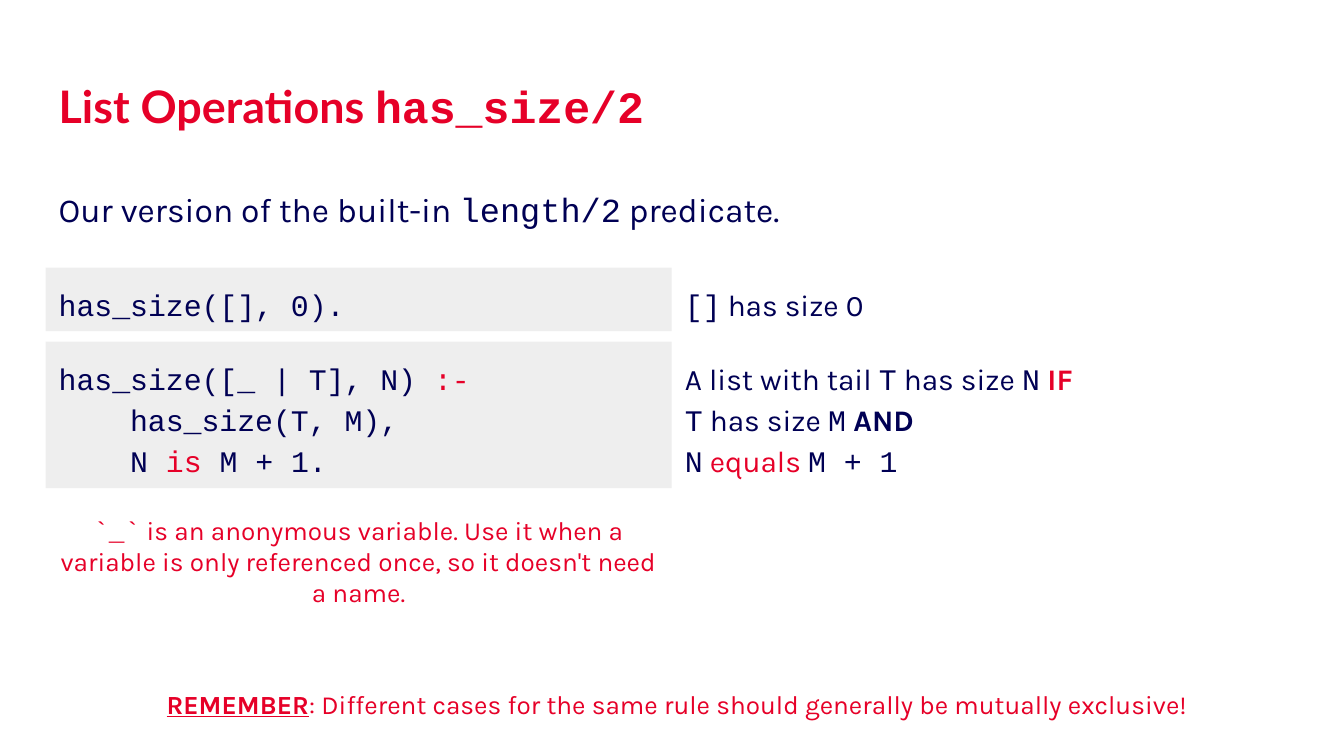
from collections import namedtuple

from pptx import Presentation
from pptx.dml.color import RGBColor
from pptx.enum.shapes import MSO_SHAPE
from pptx.enum.text import MSO_ANCHOR, MSO_AUTO_SIZE, PP_ALIGN
from pptx.util import Cm, Pt
from lxml.etree import SubElement
from pptx.oxml.ns import qn

RED = RGBColor(0xE6, 0x00, 0x28)
NAVY = RGBColor(0x00, 0x00, 0x54)
GREY = RGBColor(0xEE, 0xEE, 0xEE)
CODE, PROSE, HEADING = "Courier New", "Karla", "Lato"
CODE_INDENT = Cm(1.35)  # four characters of 16 pt code

Box = namedtuple("Box", "left top width height")
Span = namedtuple("Span", "text font color bold underline",
                  defaults=(NAVY, False, False))

LEFT, WIDTH = 0.86, 23.67
HALF = WIDTH / 2


def place(shape, box):
    shape.left, shape.top, shape.width, shape.height = map(Cm, box)


def write(shape, lines, size, align=PP_ALIGN.LEFT, anchor=MSO_ANCHOR.TOP,
          spacing=1.0):
    """Fill the shape with one paragraph for each list of spans."""
    frame = shape.text_frame
    frame.word_wrap = True
    frame.auto_size = MSO_AUTO_SIZE.NONE
    frame.vertical_anchor = anchor
    frame.margin_left = frame.margin_right = Cm(0.25)
    frame.margin_top = frame.margin_bottom = Cm(0.25)
    for index, spans in enumerate(lines):
        para = frame.paragraphs[0] if index == 0 else frame.add_paragraph()
        para.alignment = align
        para.line_spacing = spacing
        para.space_before = Pt(0)
        for part in spans:
            span = para.add_run()
            span.text = part.text
            span.font.name = part.font
            span.font.size = Pt(size)
            span.font.color.rgb = part.color
            span.font.bold = part.bold
            span.font.underline = part.underline


def add_title(slide, box, spans):
    place(slide.shapes.title, box)
    write(slide.shapes.title, [spans], 24)


def add_intro(slide, box, spans):
    body = slide.placeholders[1]
    place(body, box)
    write(body, [spans], 18, spacing=1.15)
    para = body.text_frame.paragraphs[0]
    para.space_after = Pt(12)
    properties = para._p.get_or_add_pPr()
    properties.set("marL", "0")
    properties.set("indent", "0")
    SubElement(properties, qn("a:buNone"))


def add_clause(slide, box, code, meaning):
    """Code on grey in the left half, its reading in the right half."""
    half = box.width / 2
    panel = slide.shapes.add_shape(MSO_SHAPE.RECTANGLE, 0, 0, 0, 0)
    place(panel, box._replace(width=half))
    panel.shadow.inherit = False
    panel.fill.solid()
    panel.fill.fore_color.rgb = GREY
    panel.line.fill.background()
    write(panel, code, 16, spacing=1.15)
    for para in panel.text_frame.paragraphs[1:]:
        para._p.get_or_add_pPr().set("marL", str(CODE_INDENT))

    reading = slide.shapes.add_textbox(0, 0, 0, 0)
    place(reading, box._replace(left=box.left + half, width=half))
    write(reading, meaning, 16, spacing=1.15)


def add_note(slide, box, spans):
    note = slide.shapes.add_textbox(0, 0, 0, 0)
    place(note, box)
    write(note, [spans], 14, PP_ALIGN.CENTER, MSO_ANCHOR.MIDDLE)


def main():
    deck = Presentation()
    deck.slide_width, deck.slide_height = Cm(25.4), Cm(14.29)
    slide = deck.slides.add_slide(deck.slide_layouts[1])

    add_title(slide, Box(LEFT, 1.24, WIDTH, 1.6), [
        Span("List Operations ", HEADING, RED, True),
        Span("has_size/2", CODE, RED, True)])
    add_intro(slide, Box(LEFT, 3.2, WIDTH, 1.27), [
        Span("Our version of the built-in ", PROSE),
        Span("length/2", CODE),
        Span(" predicate.", PROSE)])

    add_clause(
        slide, Box(LEFT, 5.06, WIDTH, 1.2),
        code=[[Span("has_size([], 0).", CODE)]],
        meaning=[[Span("[]", CODE), Span(" has size 0", PROSE)]])
    add_clause(
        slide, Box(LEFT, 6.46, WIDTH, 2.77),
        code=[
            [Span("has_size([_ | T], N) ", CODE), Span(":-", CODE, RED)],
            [Span("has_size(T, M),", CODE)],
            [Span("N ", CODE), Span("is", CODE, RED), Span(" M + 1.", CODE)]],
        meaning=[
            [Span("A list with tail ", PROSE), Span("T", CODE),
             Span(" has size ", PROSE), Span("N", CODE),
             Span(" IF", PROSE, RED, True)],
            [Span("T", CODE), Span(" has size ", PROSE), Span("M", CODE),
             Span(" AND", PROSE, NAVY, True)],
            [Span("N", CODE), Span(" equals ", PROSE, RED),
             Span("M + 1", CODE)]])

    add_note(slide, Box(LEFT, 9.45, HALF, 2.31), [
        Span("`_`", CODE, RED),
        Span(" is an anonymous variable. Use it when a variable is only "
             "referenced once, so it doesn't need a name.", PROSE, RED)])
    add_note(slide, Box(0.97, 12.75, WIDTH, 1.12), [
        Span("REMEMBER", PROSE, RED, True, True),
        Span(": Different cases for the same rule should generally be "
             "mutually exclusive!", PROSE, RED)])

    deck.save("out.pptx")


if __name__ == "__main__":
    main()
